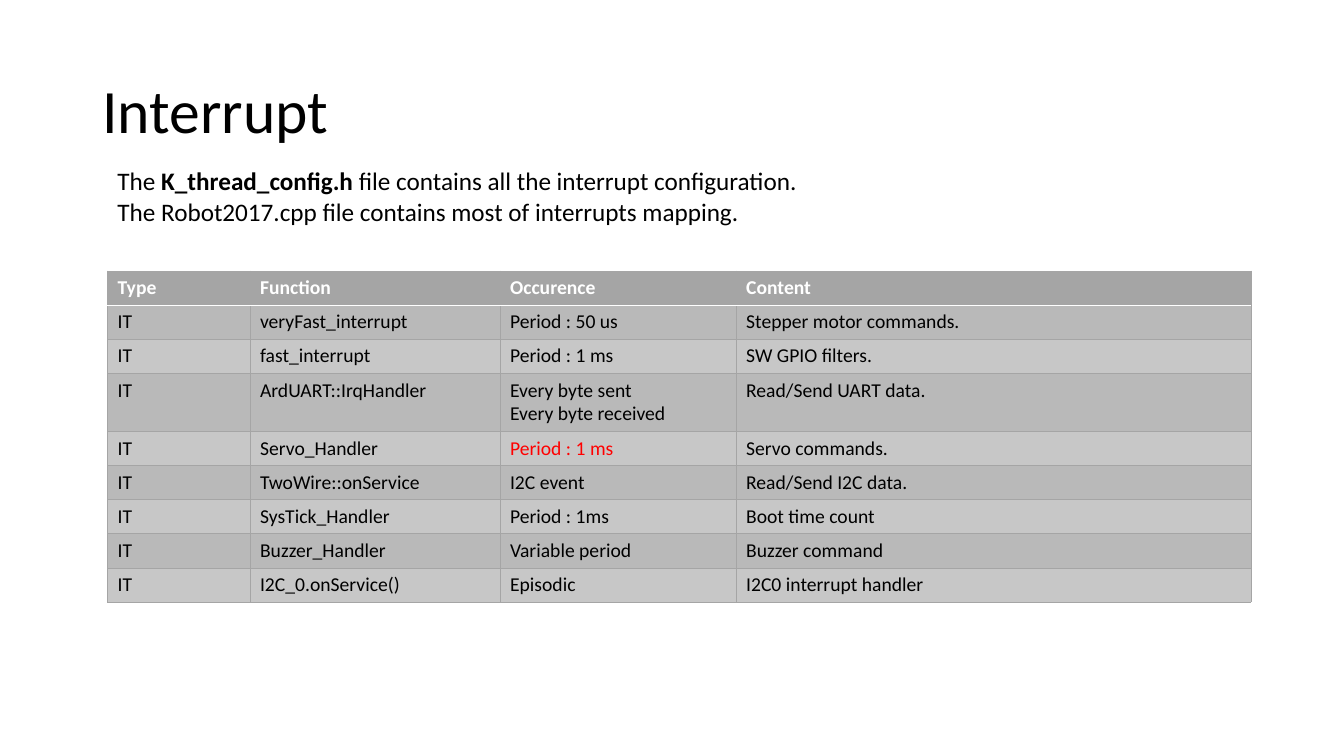
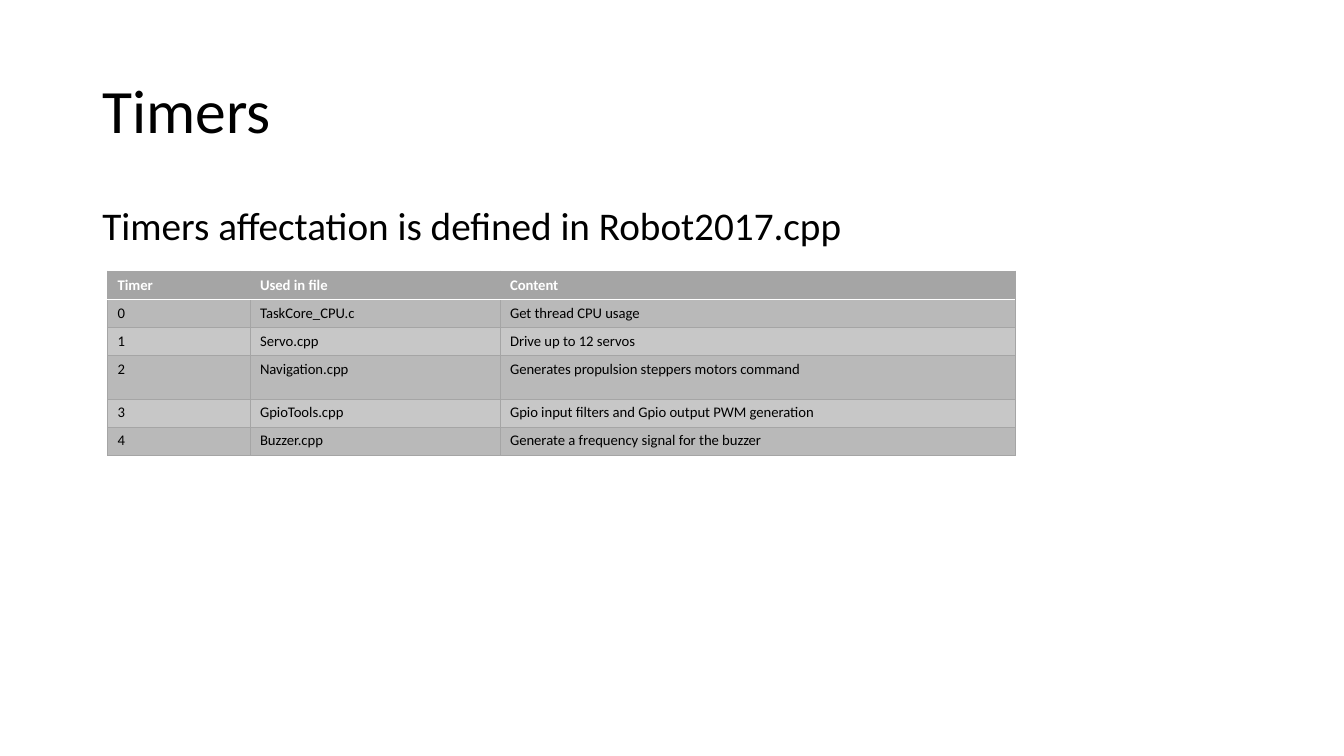
"""Build the interrupt and timer tables of the robot software deck."""
from lxml.etree import SubElement
from pptx import Presentation
from pptx.dml.color import RGBColor
from pptx.enum.text import MSO_ANCHOR as Anchor, MSO_AUTO_SIZE as AutoSize
from pptx.oxml.ns import qn
from pptx.util import Cm, Pt

BLACK = RGBColor(0x00, 0x00, 0x00)
WHITE = RGBColor(0xFF, 0xFF, 0xFF)
RED = RGBColor(0xFF, 0x00, 0x00)
GREY = RGBColor(0xA5, 0xA5, 0xA5)
DARK_BAND = RGBColor(0xB9, 0xB9, 0xB9)
LIGHT_BAND = RGBColor(0xC7, 0xC7, 0xC7)
FONT = "Calibri"
BLANK_LAYOUT = 6


class Builder:
    """Hold the deck style and the slide being filled."""

    def __init__(self):
        self.deck = Presentation()
        self.deck.slide_width, self.deck.slide_height = Cm(33.87), Cm(19.05)
        self.page = None

    def style(self, para, size, color=BLACK, bold=False):
        font = para.font
        font.name, font.size, font.bold = FONT, Pt(size), bold
        font.color.rgb = color

    def text(self, lines, left, top, width, height, size):
        """Add a text box; each line is a list of (words, bold) spans."""
        box = self.page.shapes.add_textbox(Cm(left), Cm(top), Cm(width), Cm(height))
        frame = box.text_frame
        frame.word_wrap = True
        for index, line in enumerate(lines):
            para = frame.add_paragraph() if index else frame.paragraphs[0]
            self.style(para, size)
            for words, bold in line:
                span = para.add_run()
                span.text = words
                if bold:
                    span.font.bold = True
        return frame

    def slide(self, title):
        self.page = self.deck.slides.add_slide(self.deck.slide_layouts[BLANK_LAYOUT])
        frame = self.text([[(title, False)]], 2.33, 1.02, 29.21, 3.68, 44)
        frame.vertical_anchor = Anchor.MIDDLE
        frame.paragraphs[0].line_spacing = 0.9

    def body(self, words):
        frame = self.text([[(words, False)]], 2.33, 5.08, 29.21, 12.09, 28)
        para = frame.paragraphs[0]
        para.line_spacing, para.space_before = 0.9, Pt(10)

    def note(self, lines):
        frame = self.text(lines, 2.71, 4.05, 29.29, 1.8, 18)
        frame.auto_size = AutoSize.SHAPE_TO_FIT_TEXT

    def border(self, cell, side, color, width):
        properties = cell._tc.get_or_add_tcPr()
        line = SubElement(properties, qn(f"a:ln{side}"), w=str(Pt(width)))
        fill = SubElement(line, qn("a:solidFill"))
        SubElement(fill, qn("a:srgbClr"), val=str(color))

    def cell(self, cell, words, row, size, color):
        for side in "LRTB":
            under_header = (row, side) in ((0, "B"), (1, "T"))
            self.border(cell, side, *((WHITE, 1) if under_header else (GREY, 0.5)))
        cell.fill.solid()
        band = DARK_BAND if row % 2 else LIGHT_BAND
        cell.fill.fore_color.rgb = band if row else GREY
        cell.text = words
        for para in cell.text_frame.paragraphs:
            self.style(para, size, color if row else WHITE, bold=row == 0)

    def table(self, rows, widths, size, row_height, tall_row, tall_height, red_cell=None):
        heights = [tall_height if row == tall_row else row_height for row in range(len(rows))]
        frame = self.page.shapes.add_table(
            len(rows), len(widths), Cm(2.71), Cm(6.83), Cm(sum(widths)), Cm(sum(heights)))
        table = frame.table
        table.first_row = table.horz_banding = False
        for column, width in zip(table.columns, widths):
            column.width = Cm(width)
        for row, (words_in_row, height) in enumerate(zip(rows, heights)):
            table.rows[row].height = Cm(height)
            for column, words in enumerate(words_in_row):
                color = RED if (row, column) == red_cell else BLACK
                self.cell(table.cell(row, column), words, row, size, color)


INTERRUPTS = [
    ("veryFast_interrupt", "Period : 50 us", "Stepper motor commands."),
    ("fast_interrupt", "Period : 1 ms", "SW GPIO filters."),
    ("ArdUART::IrqHandler", "Every byte sent\nEvery byte received", "Read/Send UART data."),
    ("Servo_Handler", "Period : 1 ms", "Servo commands."),
    ("TwoWire::onService", "I2C event", "Read/Send I2C data."),
    ("SysTick_Handler", "Period : 1ms", "Boot time count"),
    ("Buzzer_Handler", "Variable period", "Buzzer command"),
    ("I2C_0.onService()", "Episodic", "I2C0 interrupt handler"),
]
TIMERS = [
    ("TaskCore_CPU.c", "Get thread CPU usage"),
    ("Servo.cpp", "Drive up to 12 servos"),
    ("Navigation.cpp", "Generates propulsion steppers motors command"),
    ("GpioTools.cpp", "Gpio input filters and Gpio output PWM generation"),
    ("Buzzer.cpp", "Generate a frequency signal for the buzzer"),
]
KEY_WIDTH, NAME_WIDTH, OCCURRENCE_WIDTH, CONTENT_WIDTH = 3.59, 6.3, 5.95, 12.98

builder = Builder()

builder.slide("Interrupt")
builder.table(
    [("Type", "Function", "Occurence", "Content"), *(("IT", *entry) for entry in INTERRUPTS)],
    (KEY_WIDTH, NAME_WIDTH, OCCURRENCE_WIDTH, CONTENT_WIDTH),
    size=14, row_height=0.86, tall_row=3, tall_height=1.46, red_cell=(4, 2))
builder.note([
    [("The ", False), ("K_thread_config.h ", True),
     ("file contains all the interrupt configuration.", False)],
    [("The Robot2017.cpp file contains most of interrupts mapping.", False)],
])

builder.slide("Timers")
builder.body("Timers affectation is defined in Robot2017.cpp")
builder.table(
    [("Timer", "Used in file", "Content"),
     *((str(number), *entry) for number, entry in enumerate(TIMERS))],
    (KEY_WIDTH, NAME_WIDTH, CONTENT_WIDTH),
    size=10.5, row_height=0.71, tall_row=3, tall_height=1.09)

builder.deck.save("out.pptx")
